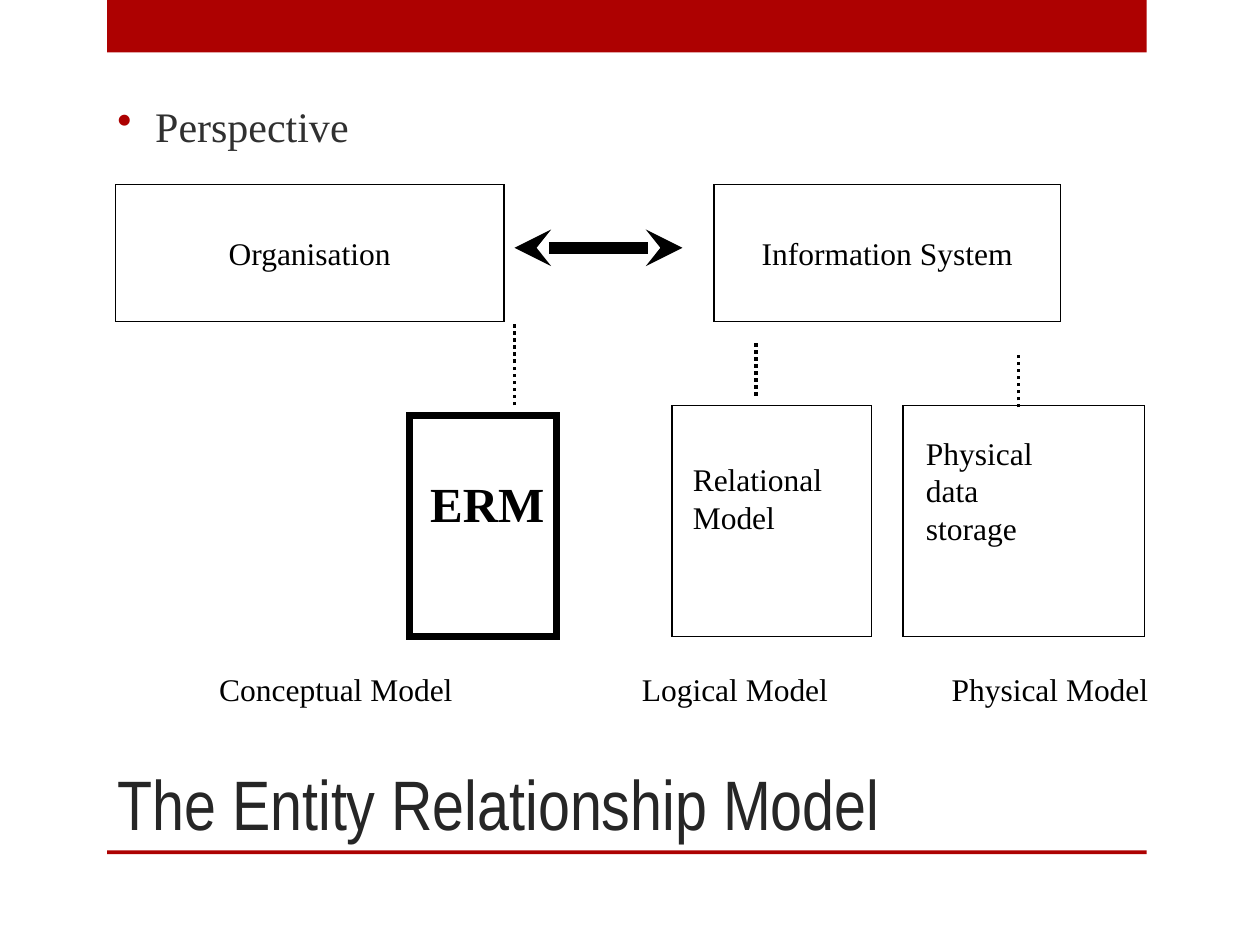
import pptx
import pptx.dml.color
import pptx.enum.dml
import pptx.enum.shapes
import pptx.enum.text
import pptx.oxml
import pptx.oxml.ns
import pptx.util

RED = pptx.dml.color.RGBColor(0xAD, 0x01, 0x01)
BLACK = pptx.dml.color.RGBColor(0, 0, 0)
TITLE_GREY = pptx.dml.color.RGBColor(0x26, 0x26, 0x26)
BODY_GREY = pptx.dml.color.RGBColor(0x30, 0x30, 0x30)
SERIF, NARROW = "Times New Roman", "Arial Narrow"

ALIGN = pptx.enum.text.PP_ALIGN
ANCHOR = pptx.enum.text.MSO_ANCHOR
DOTTED = pptx.enum.dml.MSO_LINE.ROUND_DOT  # stored as sysDot
COLUMNS = 120
TITLE_ONLY = 5


def add_xml(parent, tag, **attributes):
    element = pptx.oxml.parse_xml(f"<a:{tag} {pptx.oxml.ns.nsdecls('a')}/>")
    for key, value in attributes.items():
        element.set(key, value)
    parent.append(element)


class DiagramSlide:
    """Draws on a grid of 120 columns by 90 rows of square cells."""

    def __init__(self, deck):
        self.slide = deck.slides.add_slide(deck.slide_layouts[TITLE_ONLY])
        self.shapes = self.slide.shapes
        self.cell = deck.slide_width / COLUMNS

    def grid(self, *cells):
        return [round(count * self.cell) for count in cells]

    def set_text(self, shape, text, align=ALIGN.LEFT, anchor=ANCHOR.TOP, **font):
        frame = shape.text_frame
        frame.text = text
        frame.word_wrap = True
        frame.vertical_anchor = anchor
        style = {"name": SERIF, "size": 18, "bold": False, "color": BLACK, **font}
        color = style.pop("color")
        style["size"] = pptx.util.Pt(style["size"])
        for paragraph in frame.paragraphs:
            paragraph.alignment = align
            for run in paragraph.runs:
                for key, value in style.items():
                    setattr(run.font, key, value)
                run.font.color.rgb = color
        return frame

    def title(self, text, *place):
        title = self.shapes.title
        for side, value in zip(("left", "top", "width", "height"), self.grid(*place)):
            setattr(title, side, value)
        self.set_text(title, text, anchor=ANCHOR.BOTTOM, name=NARROW, size=40,
                      color=TITLE_GREY)

    def label(self, text, *place, **style):
        return self.set_text(self.shapes.add_textbox(*self.grid(*place)), text, **style)

    def bullet(self, text, *place):
        frame = self.label(text, *place, size=24, color=BODY_GREY)
        paragraph = frame.paragraphs[0]
        paragraph.space_before = pptx.util.Pt(4.8)
        properties = paragraph._p.get_or_add_pPr()
        indent = pptx.util.Inches(0.3)
        properties.set("marL", str(indent))
        properties.set("indent", str(-indent))
        add_xml(properties, "buClr")
        add_xml(properties[-1], "srgbClr", val=str(RED))
        add_xml(properties, "buChar", char="•")

    def rectangle(self, *place):
        shape = self.shapes.add_shape(
            pptx.enum.shapes.MSO_SHAPE.RECTANGLE, *self.grid(*place))
        shape.shadow.inherit = False
        return shape

    def bar(self, *place):
        shape = self.rectangle(*place)
        shape.fill.solid()
        shape.fill.fore_color.rgb = RED
        shape.line.fill.background()

    def box(self, *place, text="", weight=0.75):
        shape = self.rectangle(*place)
        shape.fill.background()
        shape.line.color.rgb = BLACK
        shape.line.width = pptx.util.Pt(weight)
        add_xml(shape.line._get_or_add_ln(), "miter", lim="800000")
        if text:
            self.set_text(shape, text, ALIGN.CENTER, ANCHOR.MIDDLE)

    def line(self, *ends, weight=2, dash=None, arrows=False):
        connector = self.shapes.add_connector(
            pptx.enum.shapes.MSO_CONNECTOR.STRAIGHT, *self.grid(*ends))
        connector.line.color.rgb = BLACK
        connector.line.width = pptx.util.Pt(weight)
        if dash:
            connector.line.dash_style = dash
        if arrows:
            for end in ("headEnd", "tailEnd"):
                add_xml(connector.line._get_or_add_ln(), end, type="stealth")
        add_xml(connector._element.spPr, "effectLst")


def main():
    deck = pptx.Presentation()
    deck.slide_width = pptx.util.Inches(10)
    deck.slide_height = pptx.util.Inches(7.5)
    page = DiagramSlide(deck)

    # Frame, title and heading
    for top, height in ((0, 5), (81, 0.36)):
        page.bar(10.2, top, 99, height)
    page.title("The Entity Relationship Model", 10, 60, 89, 21)
    page.bullet("Perspective", 10, 9, 99, 7)

    # Organisation and information system
    for text, left, width in (("Organisation", 11, 37), ("Information System", 68, 33)):
        page.box(left, 17.6, width, 13, text=text)
    page.line(49, 23.6, 65, 23.6, weight=7, arrows=True)

    # Models: left, top, width, height, line weight
    models = ((39, 39.6, 14, 21, 4), (64, 38.6, 19, 22, 0.75), (86, 38.6, 23, 22, 0.75))
    for *place, weight in models:
        page.box(*place, weight=weight)
    page.label("ERM", 39.8, 44.5, 13.4, 6.8, size=28, bold=True)
    page.label("Relational\nModel", 64.8, 43.2, 18.8, 10.8)
    page.label("Physical\ndata\nstorage", 87, 40.7, 22.2, 15.6)

    # Dotted links from the upper boxes to the models
    for column, start, end in ((49, 38.6, 30.6), (72, 37.7, 32.6), (97, 38.8, 33.6)):
        page.line(column, start, column, end, dash=DOTTED)

    # Model levels
    levels = (("Conceptual Model", 16, 32), ("Logical Model", 57, 26),
              ("Physical Model", 86.3, 27.4))
    for text, left, width in levels:
        page.label(text, left, 62.6, width, 6, align=ALIGN.CENTER, anchor=ANCHOR.MIDDLE)

    deck.save("out.pptx")


if __name__ == "__main__":
    main()
